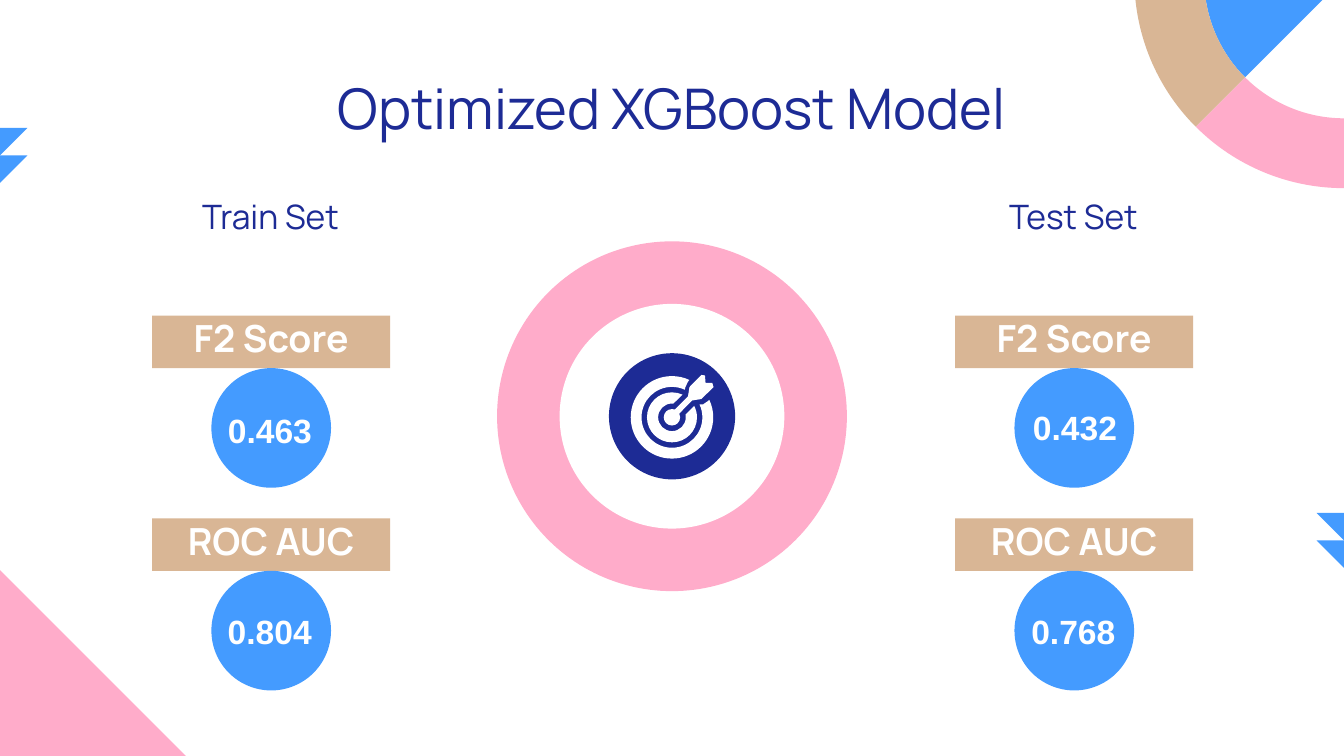
from dataclasses import dataclass
from math import ceil, cos, floor, radians, sin, tan

from lxml.etree import SubElement
from pptx import Presentation
from pptx.dml.color import RGBColor
from pptx.enum.shapes import MSO_SHAPE
from pptx.enum.text import MSO_ANCHOR, PP_ALIGN
from pptx.oxml.ns import qn
from pptx.shapes.autoshape import Shape
from pptx.slide import Slide
from pptx.util import Pt

Point = tuple[float, float]
Segment = tuple[Point, ...]  # one point for a line, three for a Bézier curve


@dataclass(frozen=True)
class Theme:
    navy: str = "1D2B95"
    blue: str = "449BFF"
    pink: str = "FFACCA"
    tan: str = "D9B695"
    white: str = "FFFFFF"
    display_font: str = "Manrope"
    number_font: str = "Arial"
    title_size: float = 30
    label_size: float = 20
    body_size: float = 18
    inset: float = 7.2


@dataclass(frozen=True)
class Metric:
    name: str
    value: str
    shift: Point  # offset of the number from the middle of its circle


@dataclass(frozen=True)
class Panel:
    heading: str
    center_x: float
    metrics: tuple[Metric, ...]


THEME = Theme()
SLIDE_WIDTH, SLIDE_HEIGHT = 720, 405
PANELS = (
    Panel("Train Set", 145.3, (Metric("F2 Score", "0.463", (-0.7, 1.1)),
                               Metric("ROC AUC", "0.804", (-0.8, 0)))),
    Panel("Test Set", 575.5, (Metric("F2 Score", "0.432", (0.4, -0.2)),
                              Metric("ROC AUC", "0.768", (-0.5, 0.4)))),
)
FIRST_ROW, ROW_STEP = 169.1, 108.6
BAR_WIDTH, BAR_HEIGHT = 127.5, 28.1
CIRCLE_SIZE = 64.1


def paint(shape: Shape, color: str) -> None:
    shape.fill.solid()
    shape.fill.fore_color.rgb = RGBColor.from_string(color)
    shape.line.fill.background()
    shape.shadow.inherit = False


def write(shape: Shape, text: str, size: float, color: str,
          font: str = THEME.display_font, bold: bool = False, spacing: float = 1.0) -> None:
    frame = shape.text_frame
    frame.word_wrap = True
    frame.vertical_anchor = MSO_ANCHOR.MIDDLE
    frame.margin_left = frame.margin_right = Pt(THEME.inset)
    frame.margin_top = frame.margin_bottom = Pt(THEME.inset)
    frame.text = text
    paragraph = frame.paragraphs[0]
    paragraph.alignment = PP_ALIGN.CENTER
    paragraph.line_spacing = spacing
    run_font = paragraph.runs[0].font
    run_font.name, run_font.size, run_font.bold = font, Pt(size), bold
    run_font.color.rgb = RGBColor.from_string(color)


def add_text_box(slide: Slide, center: Point, width: float, height: float) -> Shape:
    return slide.shapes.add_textbox(Pt(center[0] - width / 2), Pt(center[1] - height / 2),
                                    Pt(width), Pt(height))


def add_circle(slide: Slide, center: Point, diameter: float, color: str) -> None:
    shape = slide.shapes.add_shape(
        MSO_SHAPE.OVAL, Pt(center[0] - diameter / 2), Pt(center[1] - diameter / 2),
        Pt(diameter), Pt(diameter))
    paint(shape, color)


def lines(*points: Point) -> list[Segment]:
    return [(point,) for point in points]


def arc(center: Point, radius: float, start: float, end: float) -> list[Segment]:
    """Line to the start, then a curve per quadrant; degrees clockwise from the right."""
    low, high = sorted((start, end))
    inner = [90 * turn for turn in range(floor(low / 90) + 1, ceil(high / 90))]
    stops = [low, *inner, high]
    if start > end:
        stops.reverse()

    def at(angle: float, pull: float = 0) -> Point:
        x, y = cos(radians(angle)), sin(radians(angle))
        return center[0] + radius * (x - pull * y), center[1] + radius * (y + pull * x)

    segments = lines(at(start))
    for first, last in zip(stops, stops[1:]):
        pull = 4 / 3 * tan(radians(last - first) / 4)
        segments.append((at(first, pull), at(last, -pull), at(last)))
    return segments


def add_outline(slide: Slide, segments: list[Segment], color: str) -> None:
    corners = [(Pt(segment[-1][0]), Pt(segment[-1][1])) for segment in segments]
    builder = slide.shapes.build_freeform(*corners[0])
    builder.add_line_segments(corners[1:], close=True)
    shape = builder.convert_to_shape()
    paint(shape, color)
    # Turn the lines of three-point segments into curves
    line_elements = list(shape._element.iter(qn("a:lnTo")))
    for segment, element in zip(segments[1:], line_elements):
        if len(segment) == 3:
            element.tag = qn("a:cubicBezTo")
            element.remove(element[0])
            for x, y in segment:
                SubElement(element, qn("a:pt"), x=str(Pt(x) - shape.left),
                           y=str(Pt(y) - shape.top))


def add_corner_ring(slide: Slide) -> None:
    center, inner, outer = (720, -11.5), 74.9, 112.3
    add_outline(slide, lines(center) + arc(center, inner, 135, 180), THEME.blue)
    for start, end, color in ((90, 135, THEME.pink), (135, 180, THEME.tan)):
        segments = arc(center, outer, start, end) + arc(center, inner, end, start)
        add_outline(slide, segments, color)


def add_zigzag(slide: Slide, edge: float, tip: float, top: float) -> None:
    side = abs(tip - edge)
    for y in (top, top + side):
        add_outline(slide, lines((tip, y), (edge, y), (edge, y + side)), THEME.blue)


def add_target_icon(slide: Slide) -> None:
    center = (360, 223.6)
    # Dart with its round hub
    dart = lines((368.6, 212.4), (369.4, 207.4), (375.8, 200.9), (377.7, 201.2),
                 (378, 205.2), (381.6, 205.2), (382.3, 207.4), (375.8, 213.8), (370.8, 214.6))
    add_outline(slide, arc(center, 4.4, -27, 290) + dart, THEME.white)
    # Middle ring, open where the dart enters
    add_outline(slide, arc(center, 13.4, -27, 295) + arc(center, 7.4, 276, -11), THEME.white)
    # Outer ring, notched around the flights
    segments = (arc(center, 22.1, -25, 295) + lines((368.6, 204.5), (367.2, 207.4))
                + arc(center, 16.3, 295, -25) + lines((376.6, 216.7), (378.7, 215.3)))
    add_outline(slide, segments, THEME.white)


def add_panel(slide: Slide, panel: Panel) -> None:
    heading = add_text_box(slide, (panel.center_x - 0.4, 115.6), 141.1, 45.4)
    write(heading, panel.heading, THEME.body_size, THEME.navy)
    for row, metric in enumerate(panel.metrics):
        top = FIRST_ROW + row * ROW_STEP
        bar = slide.shapes.add_shape(MSO_SHAPE.RECTANGLE, Pt(panel.center_x - BAR_WIDTH / 2),
                                     Pt(top), Pt(BAR_WIDTH), Pt(BAR_HEIGHT))
        paint(bar, THEME.tan)
        write(bar, metric.name, THEME.label_size, THEME.white, bold=True, spacing=0.8)
        center = (panel.center_x, top + BAR_HEIGHT + CIRCLE_SIZE / 2)
        add_circle(slide, center, CIRCLE_SIZE, THEME.blue)
        number_center = (center[0] + metric.shift[0], center[1] + metric.shift[1])
        number = add_text_box(slide, number_center, 65.5, 61.9)
        write(number, metric.value, THEME.body_size, THEME.white, THEME.number_font, bold=True)


def main() -> None:
    presentation = Presentation()
    presentation.slide_width, presentation.slide_height = Pt(SLIDE_WIDTH), Pt(SLIDE_HEIGHT)
    slide = presentation.slides.add_slide(presentation.slide_layouts[6])

    # Edge decoration
    add_outline(slide, lines((-0.7, 304.7), (111.6, 417), (-0.7, 417)), THEME.pink)
    add_corner_ring(slide)
    add_zigzag(slide, SLIDE_WIDTH, 705.3, 274.8)
    add_zigzag(slide, 0, 14.7, 68.5)

    # Title
    title = add_text_box(slide, (360, 57.6), 607.7, 45.4)
    write(title, "Optimized XGBoost Model", THEME.title_size, THEME.navy)

    # Central target
    for diameter, color in ((187.4, THEME.pink), (120.4, THEME.white), (67.6, THEME.navy)):
        add_circle(slide, (360, 223), diameter, color)
    add_target_icon(slide)

    # Score panels
    for panel in PANELS:
        add_panel(slide, panel)

    presentation.save("out.pptx")


if __name__ == "__main__":
    main()
